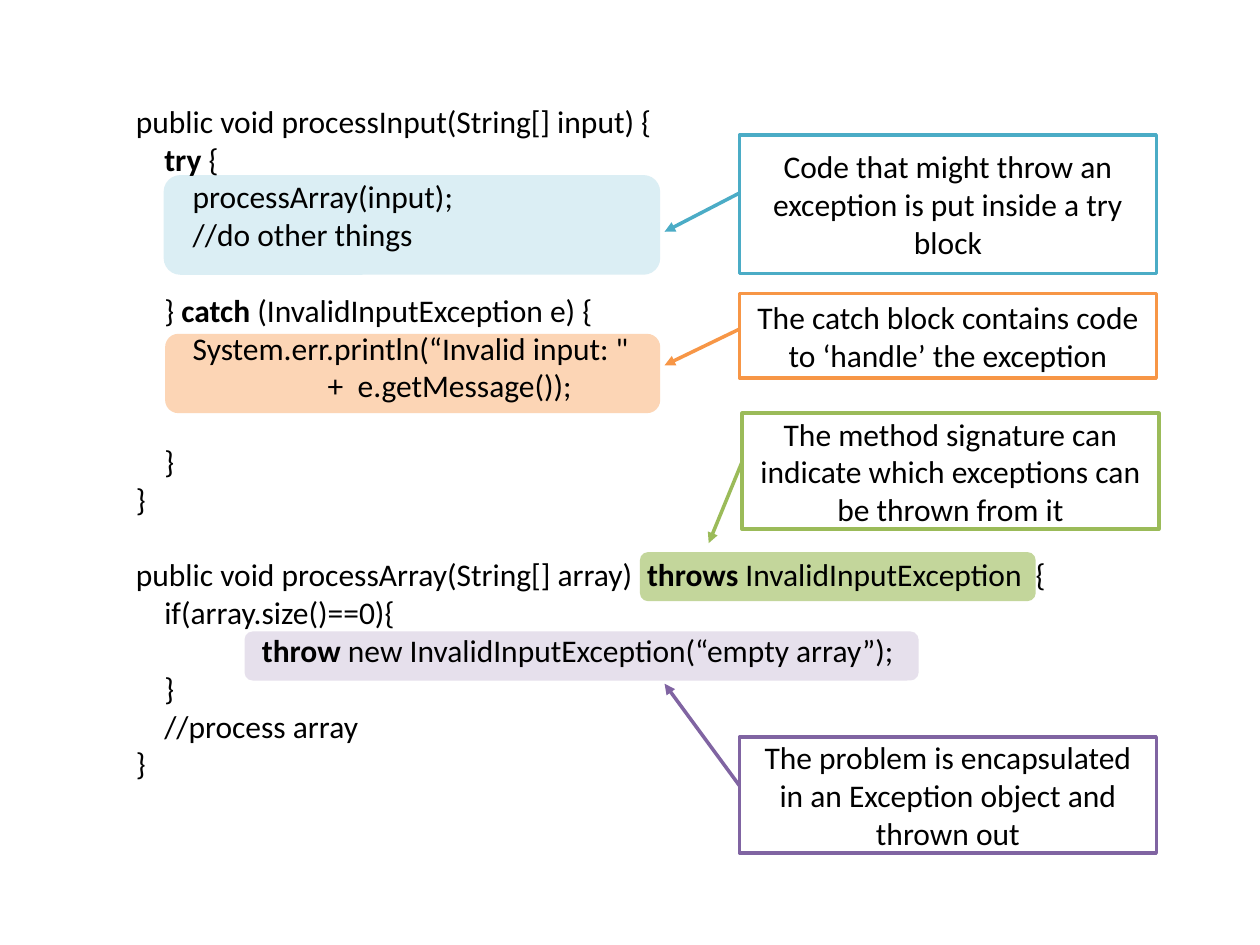
from typing import NamedTuple

from lxml.etree import SubElement
from pptx import Presentation
from pptx.dml.color import RGBColor
from pptx.enum.shapes import MSO_SHAPE
from pptx.enum.text import MSO_ANCHOR, PP_ALIGN
from pptx.oxml.ns import qn
from pptx.util import Cm, Pt

COLORS = {
    "text": "000000", "paper": "FFFFFF",
    "try": "4BACC6", "try light": "DBEEF4",
    "catch": "F79646", "catch light": "FCD5B5",
    "throws": "9BBB59", "throws light": "C3D69B",
    "throw": "8064A2", "throw light": "E6E0EC",
}
FONT = "Calibri"
FONT_SIZE = Pt(18)
LINE_HEIGHT = Pt(21.6)
BOLD_MARK = "**"


class Highlight(NamedTuple):
    topic: str
    left: float
    top: float
    width: float
    height: float


class Callout(NamedTuple):
    topic: str
    left: float
    top: float
    height: float
    tip_down: float  # arrow tip, as shares of the box height and width
    tip_across: float
    text: str


class CodeLine(NamedTuple):
    text: str
    gap_before: bool = False
    indent: float = 0


HIGHLIGHTS = [
    Highlight("throw", 4.93, 12.73, 13.59, 0.99),
    Highlight("throws", 12.9, 11.13, 7.98, 0.99),
    Highlight("catch", 3.33, 6.73, 9.98, 1.6),
    Highlight("try", 3.3, 3.53, 10.01, 2.01),
]
CALLOUT_WIDTH = 8.4
CALLOUTS = [
    Callout("try", 14.91, 2.72, 2.79, 0.7, -0.18,
            "Code that might throw an exception is put inside a try block"),
    Callout("catch", 14.91, 5.92, 1.7, 0.85, -0.18,
            "The catch block contains code to ‘handle’ the exception"),
    Callout("throws", 14.96, 8.33, 2.34, 1.12, -0.08,
            "The method signature can indicate which exceptions can be thrown from it"),
    Callout("throw", 14.91, 14.86, 2.34, -0.46, -0.18,
            "The problem is encapsulated in an Exception object and thrown out"),
]
CODE = [
    CodeLine("public void processInput(String[] input) {"),
    CodeLine("    **try** {"),
    CodeLine("        processArray(input);"),
    CodeLine("        //do other things"),
    CodeLine("    } **catch** (InvalidInputException e) {", gap_before=True),
    CodeLine("        System.err.println(“Invalid input: \""),
    CodeLine("                           +  e.getMessage());"),
    CodeLine("    }", gap_before=True),
    CodeLine("}"),
    CodeLine("public void processArray(String[] array)  **throws **InvalidInputException  {",
             gap_before=True),
    CodeLine("    if(array.size()==0){"),
    CodeLine("**throw **new InvalidInputException(“empty array”);", indent=2.54),
    CodeLine("    }"),
    CodeLine("    //process array"),
    CodeLine("}"),
]


def color(name: str) -> RGBColor:
    return RGBColor.from_string(COLORS[name])


def format_font(font) -> None:
    font.name = FONT
    font.size = FONT_SIZE
    font.color.rgb = color("text")


def add_filled_shape(slide, kind, left, top, width, height, fill: str):
    shape = slide.shapes.add_shape(kind, Cm(left), Cm(top), Cm(width), Cm(height))
    shape.shadow.inherit = False
    shape.fill.solid()
    shape.fill.fore_color.rgb = color(fill)
    return shape


def add_highlight(slide, item: Highlight) -> None:
    shape = add_filled_shape(slide, MSO_SHAPE.ROUNDED_RECTANGLE, item.left, item.top,
                             item.width, item.height, f"{item.topic} light")
    shape.line.fill.background()


def add_callout(slide, item: Callout) -> None:
    shape = add_filled_shape(slide, MSO_SHAPE.LINE_CALLOUT_1, item.left, item.top,
                             CALLOUT_WIDTH, item.height, "paper")
    for index, value in enumerate((0.42, 0, item.tip_down, item.tip_across)):
        shape.adjustments[index] = value
    shape.line.color.rgb = color(item.topic)
    shape.line.width = Pt(2)
    outline = shape.element.spPr.find(qn("a:ln"))
    SubElement(outline, qn("a:tailEnd"), type="triangle")
    frame = shape.text_frame
    frame.word_wrap = True
    frame.vertical_anchor = MSO_ANCHOR.MIDDLE
    frame.text = item.text
    para = frame.paragraphs[0]
    para.alignment = PP_ALIGN.CENTER
    format_font(para.runs[0].font)


def write_code_line(para, line: CodeLine) -> None:
    """Write one line; text between bold marks becomes a bold run."""
    if line.gap_before:
        para.space_before = LINE_HEIGHT
    if line.indent:
        properties = para._p.get_or_add_pPr()
        properties.set("marL", str(Cm(line.indent)))
        properties.set("indent", "0")
    for index, text in enumerate(line.text.split(BOLD_MARK)):
        if text:
            span = para.add_run()
            span.text = text
            format_font(span.font)
            span.font.bold = index % 2 == 1


def add_code(slide) -> None:
    box = slide.shapes.add_textbox(Cm(2.49), Cm(1.93), Cm(20.19), Cm(14.1))
    frame = box.text_frame
    frame.word_wrap = True
    for index, line in enumerate(CODE):
        para = frame.add_paragraph() if index else frame.paragraphs[0]
        write_code_line(para, line)


def main() -> None:
    deck = Presentation()
    deck.slide_width, deck.slide_height = Cm(25.4), Cm(19.05)
    slide = deck.slides.add_slide(deck.slide_layouts[6])
    for highlight in HIGHLIGHTS:
        add_highlight(slide, highlight)
    add_code(slide)
    for callout in CALLOUTS:
        add_callout(slide, callout)
    deck.save("out.pptx")


if __name__ == "__main__":
    main()
